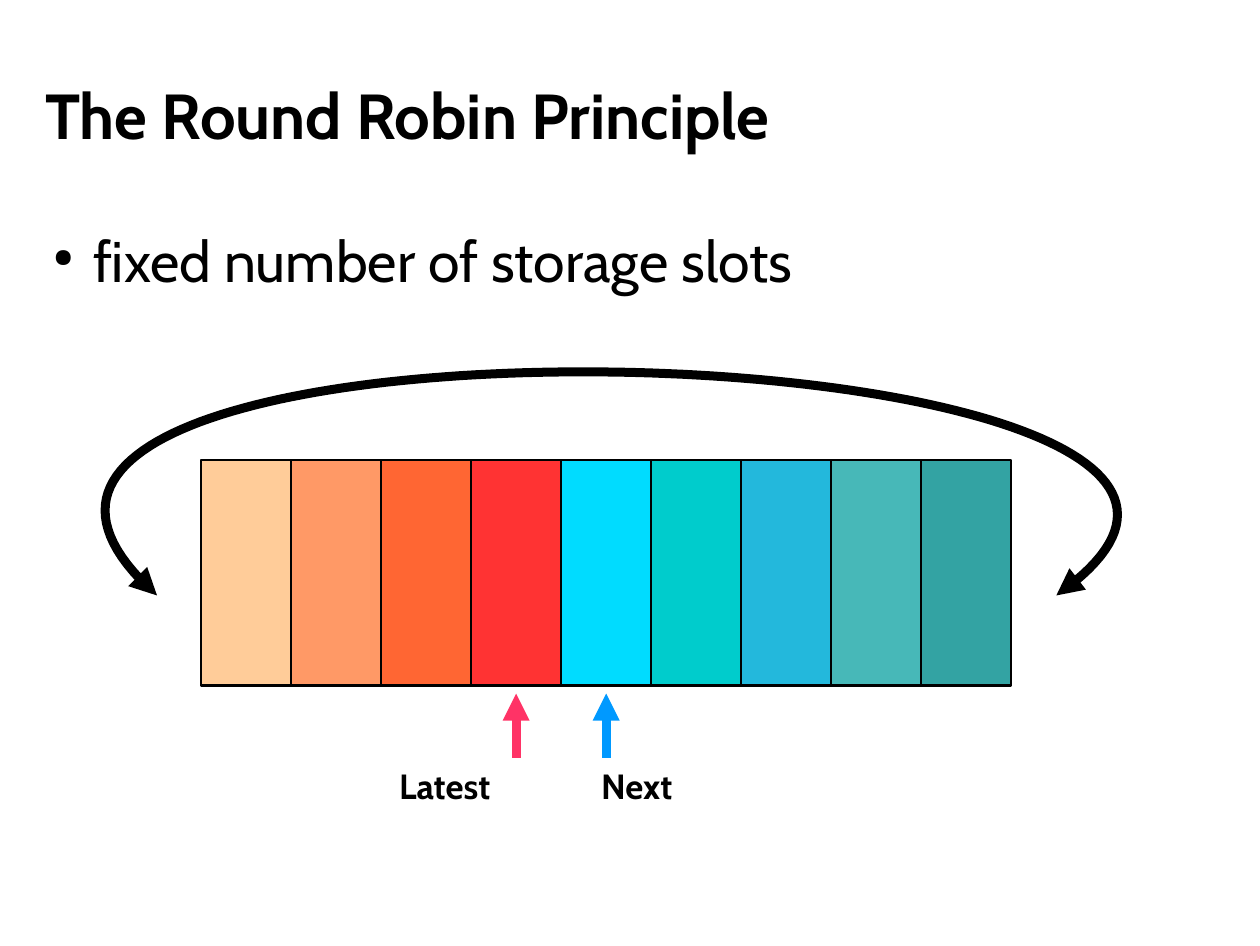
from dataclasses import dataclass

import pptx
import pptx.dml.color
import pptx.enum.shapes
import pptx.enum.text
import pptx.oxml
import pptx.oxml.ns
import pptx.shapes.base
import pptx.slide
import pptx.text.text
import pptx.util

EMU_PER_PX = 8000


@dataclass(frozen=True)
class Theme:
    font: str = "Cabin"
    bullet_font: str = "OpenSymbol"
    ink: str = "000000"
    title_pt: int = 40
    body_pt: int = 36
    label_pt: int = 22
    slot_line_pt: float = 1.42
    arrow_line_pt: float = 5.67
    slots: tuple[str, ...] = ("FFCC99", "FF9966", "FF6633", "FF3333", "00DCFF",
                              "00CCCC", "23B8DC", "47B8B8", "33A3A3")
    latest: str = "FF3366"
    next: str = "0099FF"


@dataclass(frozen=True)
class Box:
    left: int
    top: int
    width: int
    height: int


@dataclass(frozen=True)
class Pointer:
    label: str
    slot: int
    color: str
    box: Box


THEME = Theme()
SLOTS = Box(201, 460, 90, 225)
POINTER_BOTTOM, POINTER_TOP = 757, 693
POINTERS = (Pointer("Latest", 3, THEME.latest, Box(386, 757, 149, 54)),
            Pointer("Next", 4, THEME.next, Box(588, 757, 117, 54)))
WRAP_CURVE = ((157, 595), (-204, 275), (1450, 320), (1056, 595))
CURVE_STEPS = 120


def px(n: float) -> pptx.util.Emu:
    return pptx.util.Emu(round(n * EMU_PER_PX))


def rgb(color: str) -> pptx.dml.color.RGBColor:
    return pptx.dml.color.RGBColor.from_string(color)


def place(s: pptx.shapes.base.BaseShape, box: Box) -> None:
    s.left, s.top = px(box.left), px(box.top)
    s.width, s.height = px(box.width), px(box.height)


def set_text(tf: pptx.text.text.TextFrame, text: str, size: int, bold: bool,
             inset_x: int = 0, inset_y: int = 0) -> None:
    tf.text = text
    tf.word_wrap = True
    tf.auto_size = pptx.enum.text.MSO_AUTO_SIZE.NONE
    tf.margin_left = tf.margin_right = px(inset_x)
    tf.margin_top = tf.margin_bottom = px(inset_y)
    p = tf.paragraphs[0]
    p.alignment = pptx.enum.text.PP_ALIGN.LEFT
    f = p.runs[0].font
    f.name, f.size, f.bold = THEME.font, pptx.util.Pt(size), bold
    f.color.rgb = rgb(THEME.ink)


def add_text(slide: pptx.slide.Slide, box: Box, text: str, size: int, bold: bool,
             inset_x: int = 0, inset_y: int = 0) -> pptx.text.text.TextFrame:
    s = slide.shapes.add_textbox(0, 0, 0, 0)
    place(s, box)
    set_text(s.text_frame, text, size, bold, inset_x, inset_y)
    return s.text_frame


def add_bullet(p: pptx.text.text._Paragraph) -> None:
    p.space_after = pptx.util.Pt(14.2)
    pPr = p._p.get_or_add_pPr()
    pPr.set("marL", str(px(54)))
    pPr.set("indent", str(px(-40)))
    for tag, attr, value in (("buSzPct", "val", "45000"),
                             ("buFont", "typeface", THEME.bullet_font),
                             ("buChar", "char", "●")):
        pPr.append(pptx.oxml.parse_xml(
            f'<a:{tag} {pptx.oxml.ns.nsdecls("a")} {attr}="{value}"/>'))


def style_arrow(s: pptx.shapes.base.BaseShape, color: str, *ends: str) -> None:
    s.line.color.rgb = rgb(color)
    s.line.width = pptx.util.Pt(THEME.arrow_line_pt)
    ln = s.line._get_or_add_ln()
    for end in ends:
        ln.append(pptx.oxml.parse_xml(
            f'<a:{end} {pptx.oxml.ns.nsdecls("a")} type="triangle"/>'))
    s._element.spPr.append(pptx.oxml.parse_xml(
        f'<a:effectLst {pptx.oxml.ns.nsdecls("a")}/>'))


def add_slot(slide: pptx.slide.Slide, index: int, color: str) -> None:
    s = slide.shapes.add_shape(pptx.enum.shapes.MSO_SHAPE.RECTANGLE, 0, 0, 0, 0)
    place(s, Box(SLOTS.left + index * SLOTS.width, SLOTS.top,
                 SLOTS.width, SLOTS.height))
    s.shadow.inherit = False
    s.fill.solid()
    s.fill.fore_color.rgb = rgb(color)
    s.line.color.rgb = rgb(THEME.ink)
    s.line.width = pptx.util.Pt(THEME.slot_line_pt)


def add_pointer(slide: pptx.slide.Slide, pointer: Pointer) -> None:
    add_text(slide, pointer.box, pointer.label, THEME.label_pt, True, 13, 7)
    x = px(SLOTS.left + (pointer.slot + 0.5) * SLOTS.width)
    s = slide.shapes.add_connector(pptx.enum.shapes.MSO_CONNECTOR.STRAIGHT,
                                   x, px(POINTER_BOTTOM), x, px(POINTER_TOP))
    style_arrow(s, pointer.color, "tailEnd")


def curve_point(t: float) -> tuple[int, int]:
    """Point of the cubic Bezier curve at t, in EMU."""
    weights = ((1 - t) ** 3, 3 * t * (1 - t) ** 2, 3 * t ** 2 * (1 - t), t ** 3)
    x, y = (sum(w * c for w, c in zip(weights, axis)) for axis in zip(*WRAP_CURVE))
    return px(x), px(y)


def add_wrap_arrow(slide: pptx.slide.Slide) -> None:
    start, *rest = [curve_point(i / CURVE_STEPS) for i in range(CURVE_STEPS + 1)]
    builder = slide.shapes.build_freeform(*start)
    builder.add_line_segments(rest, close=False)
    s = builder.convert_to_shape()
    s.fill.background()
    style_arrow(s, THEME.ink, "headEnd", "tailEnd")


prs = pptx.Presentation()
prs.slide_width = pptx.util.Inches(11.02)
prs.slide_height = pptx.util.Inches(8.27)
slide = prs.slides.add_slide(prs.slide_layouts[5])

# Title and bullet
title = slide.shapes.title
place(title, Box(45, 57, 1178, 114))
set_text(title.text_frame, "The Round Robin Principle", THEME.title_pt, True)
title.text_frame.vertical_anchor = pptx.enum.text.MSO_ANCHOR.MIDDLE
body = add_text(slide, Box(39, 225, 1158, 613), "fixed number of storage slots",
                THEME.body_pt, False)
add_bullet(body.paragraphs[0])

# Storage slots, drawn from right to left
for index, color in reversed(list(enumerate(THEME.slots))):
    add_slot(slide, index, color)

# Pointers to the latest and next slot
for pointer in POINTERS:
    add_pointer(slide, pointer)

# Arrow wrapping around from end to start
add_wrap_arrow(slide)

prs.save("out.pptx")
